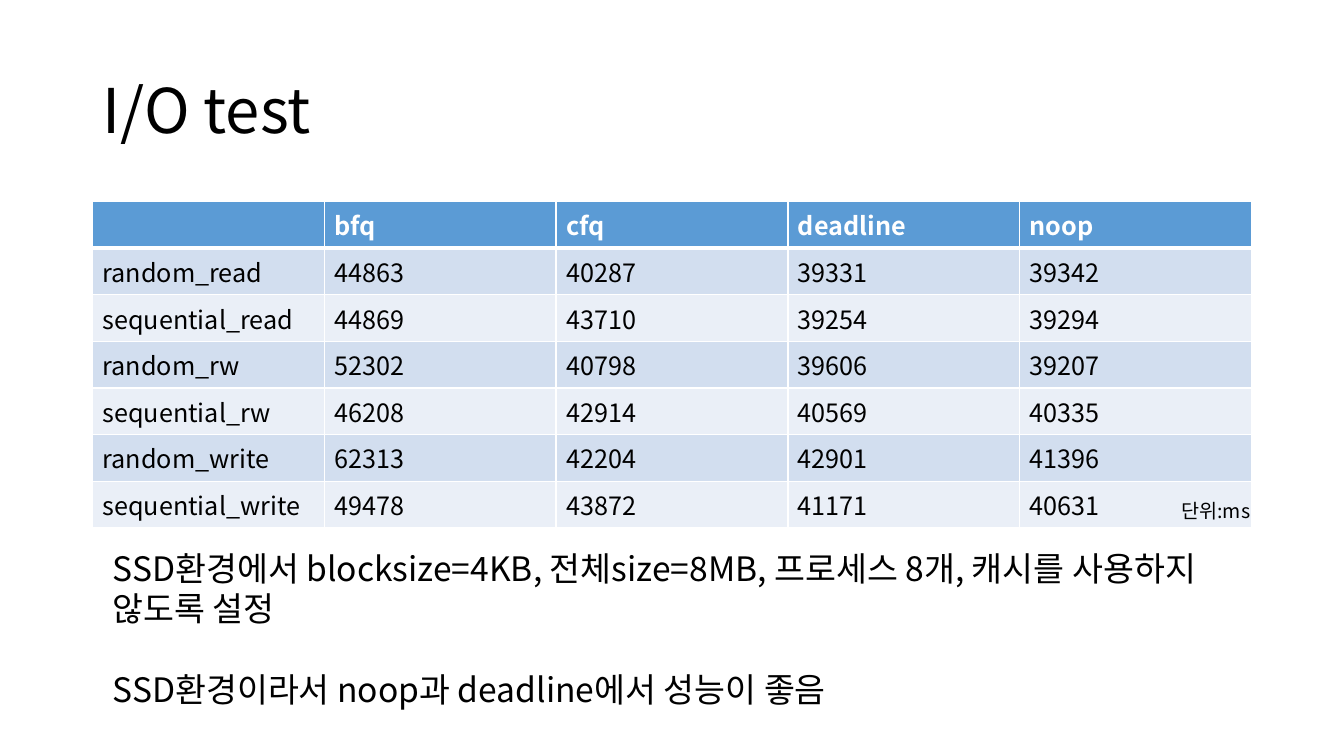
from lxml import etree
from pptx import Presentation
from pptx.dml.color import RGBColor
from pptx.enum.text import MSO_ANCHOR, MSO_AUTO_SIZE, PP_ALIGN
from pptx.oxml.ns import qn
from pptx.util import Cm, Pt

BLACK = RGBColor(0x00, 0x00, 0x00)
WHITE = RGBColor(0xFF, 0xFF, 0xFF)
BLUE = RGBColor(0x5B, 0x9B, 0xD5)
BAND_DARK = RGBColor(0xD2, 0xDE, 0xEF)
BAND_LIGHT = RGBColor(0xEA, 0xEF, 0xF7)

RESULTS = [
    ("", "bfq", "cfq", "deadline", "noop"),
    ("random_read", 44863, 40287, 39331, 39342),
    ("sequential_read", 44869, 43710, 39254, 39294),
    ("random_rw", 52302, 40798, 39606, 39207),
    ("sequential_rw", 46208, 42914, 40569, 40335),
    ("random_write", 62313, 42204, 42901, 41396),
    ("sequential_write", 49478, 43872, 41171, 40631),
]
NOTES = [
    "SSD환경에서 blocksize=4KB, 전체size=8MB, 프로세스 8개, 캐시를 사용하지",
    "않도록 설정",
    "SSD환경이라서 noop과 deadline에서 성능이 좋음",
]


class SlideBuilder:
    """Holds the font and the current slide and adds styled elements."""

    def __init__(self, slide, font="Noto Sans CJK KR"):
        self.slide = slide
        self.font = font

    def style(self, p, size, color=BLACK, bold=False):
        for r in p.runs:
            r.font.name = self.font
            r.font.size = Pt(size)
            r.font.bold = bold
            r.font.color.rgb = color
            latin = r.font._element.find(qn("a:latin"))
            ea = etree.Element(qn("a:ea"), typeface=self.font)
            latin.addnext(ea)

    def title(self, text, left, top, width, height):
        sp = self.slide.shapes.title
        sp.left, sp.top, sp.width, sp.height = map(Cm, (left, top, width, height))
        tf = sp.text_frame
        tf.text = text
        tf.vertical_anchor = MSO_ANCHOR.MIDDLE
        p = tf.paragraphs[0]
        p.alignment = PP_ALIGN.LEFT
        p.line_spacing = 0.9
        self.style(p, 44)

    def text(self, lines, left, top, width, height, size):
        sp = self.slide.shapes.add_textbox(*map(Cm, (left, top, width, height)))
        tf = sp.text_frame
        tf.word_wrap = False
        tf.auto_size = MSO_AUTO_SIZE.SHAPE_TO_FIT_TEXT
        tf.text = "\n".join(lines)
        for p in tf.paragraphs:
            self.style(p, size)
        return tf

    def borders(self, cell, bottom):
        tc_pr = cell._tc.get_or_add_tcPr()
        sides = (("L", 1), ("R", 1), ("T", 1), ("B", bottom))
        for i, (side, width) in enumerate(sides):
            ln = etree.Element(qn(f"a:ln{side}"), w=str(Pt(width)))
            fill = etree.SubElement(ln, qn("a:solidFill"))
            etree.SubElement(fill, qn("a:srgbClr"), val=str(WHITE))
            tc_pr.insert(i, ln)

    def table(self, rows, left, top, width, height):
        box = map(Cm, (left, top, width, height))
        table = self.slide.shapes.add_table(len(rows), len(rows[0]), *box).table
        for i, row in enumerate(rows):
            header = i == 0
            band = BAND_DARK if i % 2 else BAND_LIGHT
            for j, value in enumerate(row):
                cell = table.cell(i, j)
                cell.text = str(value)
                cell.fill.solid()
                cell.fill.fore_color.rgb = BLUE if header else band
                p = cell.text_frame.paragraphs[0]
                self.style(p, 18, WHITE if header else BLACK, header)
                self.borders(cell, 3 if header else 1)


def main():
    prs = Presentation()
    prs.slide_width, prs.slide_height = Cm(33.87), Cm(19.05)
    s = SlideBuilder(prs.slides.add_slide(prs.slide_layouts[5]))
    s.title("I/O test", 2.33, 1.01, 29.21, 3.68)
    s.table(RESULTS, 2.33, 5.08, 29.21, 7.21)
    notes = s.text(NOTES, 2.59, 13.67, 29.5, 4.37, 24)
    notes.paragraphs[-1].space_before = Pt(29)
    s.text(["단위:ms"], 29.52, 12.45, 2.29, 0.86, 14)
    prs.save("out.pptx")


if __name__ == "__main__":
    main()
